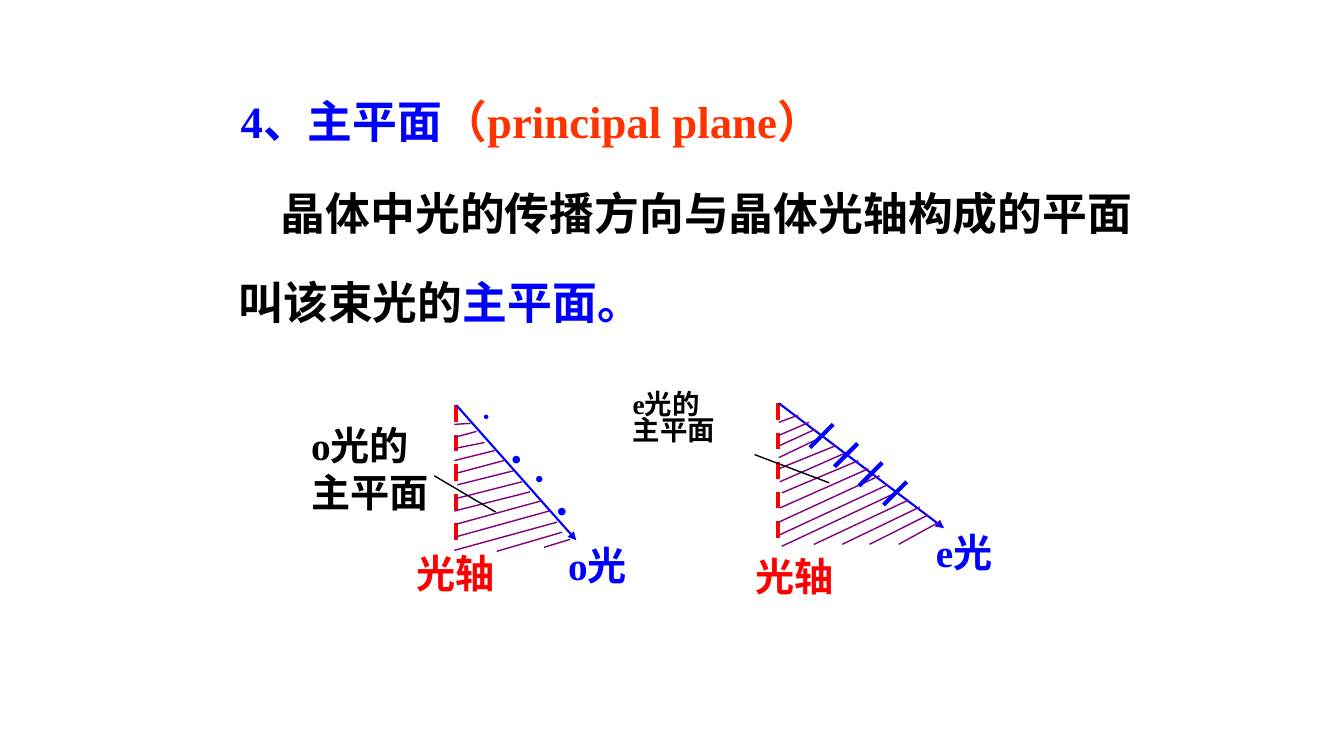
"""Build the slide defining the principal plane, with its o-ray and e-ray diagrams."""
from lxml import etree
from pptx import Presentation
from pptx.dml.color import RGBColor
from pptx.enum.dml import MSO_LINE
from pptx.enum.shapes import MSO_CONNECTOR
from pptx.enum.text import MSO_AUTO_SIZE, PP_ALIGN
from pptx.oxml.ns import qn
from pptx.util import Inches, Pt

STRAIGHT = MSO_CONNECTOR.STRAIGHT
DASH = MSO_LINE.DASH
JUSTIFY, LEFT = PP_ALIGN.JUSTIFY, PP_ALIGN.LEFT
GROW, FIXED = MSO_AUTO_SIZE.SHAPE_TO_FIT_TEXT, MSO_AUTO_SIZE.NONE

COLORS = {"blue": "0000FF", "orange": "FF3300", "black": "000000",
          "red": "FF0000", "purple": "800080"}
FONT = "Times New Roman"
COLUMNS, ROWS = 1334, 750

STATEMENTS = [
    ((229, 88, 682, 64), [("4、主平面", "blue"), ("（principal plane）", "orange")], JUSTIFY),
    ((269, 179, 923, 64), [("晶体中光的传播方向与晶体光轴构成的平面", "black")], LEFT),
    ((227, 268, 506, 64), [("叫该束光的", "black"), ("主平面。", "blue")], LEFT),
]

O_RAY = {
    "axis": (453, 402, 453, 546),
    "ray": (453, 402, 572, 536),
    "pointer": (431, 472, 492, 508),
    "hatching": [
        (451, 421, 467, 420), (451, 434, 473, 428), (451, 445, 481, 439),
        (451, 457, 491, 447), (451, 470, 500, 457), (454, 481, 510, 467),
        (451, 495, 518, 478), (451, 507, 526, 488), (453, 520, 537, 497),
        (451, 533, 545, 507), (451, 546, 553, 518), (493, 547, 558, 528),
        (540, 543, 566, 535)],
    "vibrations": [],
    "labels": [
        ((563, 536, 118, 58), ["o光"], "blue", 28, 1),
        ((412, 544, 145, 50), ["光轴"], "red", 28, 1),
        ((308, 417, 133, 120), ["o光的", "主平面"], "black", 28, 1),
        ((477, 401, 67, 40), ["·"], "blue", 19.8, 0.8),
        ((504, 431, 67, 61), ["·"], "blue", 33.3, 0.9),
        ((528, 458, 67, 53), ["·"], "blue", 27.9, 0.8),
        ((549, 482, 67, 60), ["·"], "blue", 33.3, 0.9)],
}

MARK_SIZE, MARK_STEP_X, MARK_STEP_Y = 23, 24.33, 19
E_RAY = {
    "axis": (772, 400, 772, 544),
    "ray": (773, 400, 937, 524),
    "pointer": (749, 451, 823, 479),
    "hatching": [
        (773, 419, 792, 412), (773, 432, 803, 419), (774, 442, 809, 426),
        (773, 454, 817, 433), (773, 465, 830, 442), (774, 478, 840, 449),
        (776, 489, 852, 457), (774, 504, 862, 465), (773, 518, 873, 472),
        (773, 531, 881, 481), (776, 542, 889, 489), (808, 540, 902, 496),
        (836, 540, 913, 503), (863, 540, 921, 511), (892, 540, 934, 517)],
    "vibrations": [
        (804 + i * MARK_STEP_X, 444 + i * MARK_STEP_Y,
         804 + i * MARK_STEP_X + MARK_SIZE, 444 + i * MARK_STEP_Y - MARK_SIZE)
        for i in range(4)],
    "labels": [
        ((928, 523, 135, 56), ["e光"], "blue", 28, 1),
        ((749, 547, 91, 53), ["光轴"], "red", 28, 1),
        ((627, 389, 139, 74), ["e光的", "主平面"], "black", 19.6, 0.8)],
}

deck = Presentation()
deck.slide_width, deck.slide_height = Inches(13.34), Inches(7.5)
slide = deck.slides.add_slide(deck.slide_layouts[6])


def place(box):
    units = (deck.slide_width / COLUMNS, deck.slide_height / ROWS) * 2
    return [round(value * unit) for value, unit in zip(box, units)]


def rgb(color):
    return RGBColor.from_string(COLORS[color])


def write(shapes, box, paragraphs, size, align=JUSTIFY, spacing=1,
          insets=(0.01, 0.01), fit=FIXED):
    frame = shapes.add_textbox(*place(box)).text_frame
    frame.word_wrap = True
    frame.auto_size = fit
    frame.margin_left = frame.margin_right = Inches(insets[0])
    frame.margin_top = frame.margin_bottom = Inches(insets[1])
    for i, pieces in enumerate(paragraphs):
        paragraph = frame.add_paragraph() if i else frame.paragraphs[0]
        paragraph.alignment = align
        paragraph.line_spacing = spacing
        paragraph.font.name = FONT
        paragraph.font.size = Pt(size)
        paragraph.font.bold = True
        for text, color in pieces:
            run = paragraph.add_run()
            run.text = text
            run.font.color.rgb = rgb(color)


def draw(shapes, ends, color, width, dash=None, arrow=False):
    connector = shapes.add_connector(STRAIGHT, *place(ends))
    connector.line.color.rgb = rgb(color)
    connector.line.width = Pt(width)
    if dash:
        connector.line.dash_style = dash
    if arrow:
        etree.SubElement(connector.line._get_or_add_ln(), qn("a:tailEnd"), type="triangle")
    etree.SubElement(connector._element.spPr, qn("a:effectLst"))


def draw_diagram(diagram):
    shapes = slide.shapes.add_group_shape().shapes
    draw(shapes, diagram["axis"], "red", 3, dash=DASH)
    draw(shapes, diagram["ray"], "blue", 1.5, arrow=True)
    for ends in diagram["hatching"]:
        draw(shapes, ends, "purple", 1)
    for box, lines, color, size, spacing in diagram["labels"]:
        write(shapes, box, [[(line, color)] for line in lines], size, spacing=spacing)
    for ends in diagram["vibrations"]:
        draw(shapes, ends, "blue", 3)
    draw(shapes, diagram["pointer"], "black", 1)


for box, pieces, align in STATEMENTS:
    write(slide.shapes, box, [pieces], 32, align, insets=(0.1, 0.05), fit=GROW)
for diagram in (O_RAY, E_RAY):
    draw_diagram(diagram)

deck.save("out.pptx")
